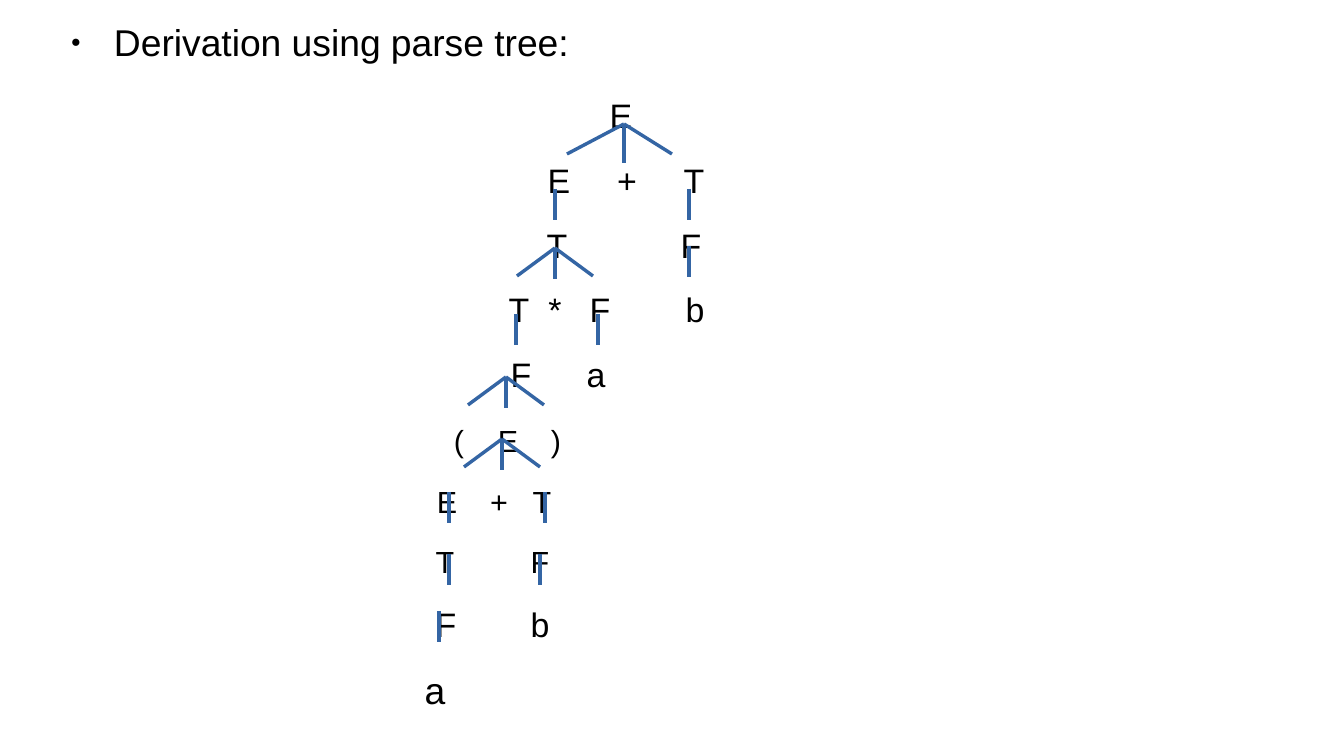
from dataclasses import dataclass

import lxml.etree
import pptx
import pptx.dml.color
import pptx.enum.shapes
import pptx.enum.text
import pptx.oxml.ns
import pptx.util

PX = 914400 // 122
BLACK = pptx.dml.color.RGBColor(0x00, 0x00, 0x00)
BLUE = pptx.dml.color.RGBColor(0x34, 0x65, 0xA4)
FONT = "Arial"
NODE_WIDTH, NODE_HEIGHT = 30, 44


@dataclass(frozen=True)
class Level:
    """One row of the tree: its centre height and (symbol, centre x) pairs."""
    y: int
    size: int
    symbols: tuple[tuple[str, int], ...]


@dataclass(frozen=True)
class Fan:
    """Three branches spreading from one apex."""
    x: int
    y: int
    left: int = 38
    right: int = 38
    drop: int = 28
    middle_drop: int = 31


@dataclass(frozen=True)
class Stems:
    """Vertical branches that start at the same height."""
    y: int
    xs: tuple[int, ...]
    length: int = 31


LEVELS = (
    Level(115, 20, (("E", 621),)),
    Level(180, 20, (("E", 559), ("+", 627), ("T", 694))),
    Level(245, 20, (("T", 557), ("F", 691))),
    Level(309, 20, (("T", 519), ("*", 555), ("F", 600), ("b", 695))),
    Level(374, 20, (("F", 521), ("a", 596))),
    Level(440, 18, (("(", 459), ("E", 508), (")", 556))),
    Level(501, 18, (("E", 447), ("+", 499), ("T", 542))),
    Level(561, 18, (("T", 445), ("F", 540))),
    Level(624, 20, (("F", 446), ("b", 540))),
    Level(690, 22, (("a", 435),)),
)
FANS = (
    Fan(624, 124, left=57, right=48, drop=30, middle_drop=39),
    Fan(555, 248),
    Fan(506, 377),
    Fan(502, 439),
)
STEMS = (
    Stems(189, (555, 689)),
    Stems(246, (689,)),
    Stems(314, (516, 598)),
    Stems(492, (449, 545)),
    Stems(554, (449, 540)),
    Stems(611, (439,)),
)


def add_text(slide, text: str, left: int, top: int, width: int, height: int, size: int):
    """Write one line of text and return its paragraph."""
    frame = slide.shapes.add_textbox(left * PX, top * PX, width * PX, height * PX).text_frame
    frame.margin_left = frame.margin_right = frame.margin_top = frame.margin_bottom = 0
    frame.word_wrap = True
    frame.vertical_anchor = pptx.enum.text.MSO_ANCHOR.MIDDLE
    frame.text = text
    paragraph = frame.paragraphs[0]
    font = paragraph.runs[0].font
    font.name = FONT
    font.size = pptx.util.Pt(size)
    font.color.rgb = BLACK
    return paragraph


def add_heading(slide) -> None:
    heading = add_text(slide, "Derivation using parse tree:", 57, 20, 1210, 44, 22)
    properties = heading._p.get_or_add_pPr()
    properties.set("marL", str(57 * PX))
    properties.set("indent", str(-43 * PX))
    for tag, name, value in (("a:buSzPct", "val", "45000"),
                             ("a:buFont", "typeface", FONT),
                             ("a:buChar", "char", "●")):
        bullet = lxml.etree.SubElement(properties, pptx.oxml.ns.qn(tag))
        bullet.set(name, value)


def add_level(slide, level: Level) -> None:
    for symbol, x in level.symbols:
        node = add_text(slide, symbol, x - NODE_WIDTH // 2, level.y - NODE_HEIGHT // 2,
                        NODE_WIDTH, NODE_HEIGHT, level.size)
        node.alignment = pptx.enum.text.PP_ALIGN.CENTER


def add_branch(slide, x1: int, y1: int, x2: int, y2: int) -> None:
    branch = slide.shapes.add_connector(
        pptx.enum.shapes.MSO_CONNECTOR.STRAIGHT, x1 * PX, y1 * PX, x2 * PX, y2 * PX)
    branch.line.color.rgb = BLUE
    branch.line.width = 0
    lxml.etree.SubElement(branch._element.spPr, pptx.oxml.ns.qn("a:effectLst"))


def add_fan(slide, fan: Fan) -> None:
    for dx, dy in ((-fan.left, fan.drop), (0, fan.middle_drop), (fan.right, fan.drop)):
        add_branch(slide, fan.x, fan.y, fan.x + dx, fan.y + dy)


def add_stems(slide, stems: Stems) -> None:
    for x in stems.xs:
        add_branch(slide, x, stems.y, x, stems.y + stems.length)


def main() -> None:
    deck = pptx.Presentation()
    deck.slide_width, deck.slide_height = 1344 * PX, 756 * PX
    slide = deck.slides.add_slide(deck.slide_layouts[6])

    # Heading and tree symbols
    add_heading(slide)
    for level in LEVELS:
        add_level(slide, level)

    # Branches
    for fan in FANS:
        add_fan(slide, fan)
    for stems in STEMS:
        add_stems(slide, stems)

    deck.save("out.pptx")


if __name__ == "__main__":
    main()
